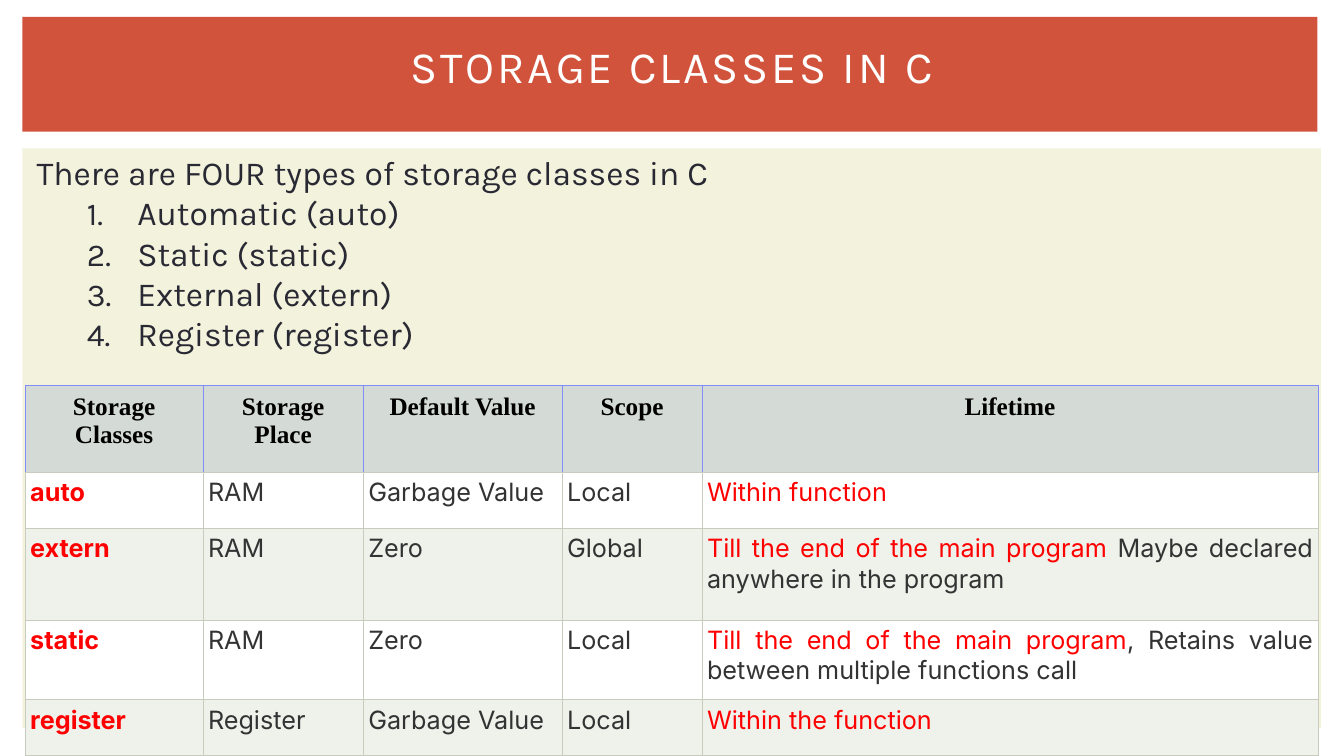
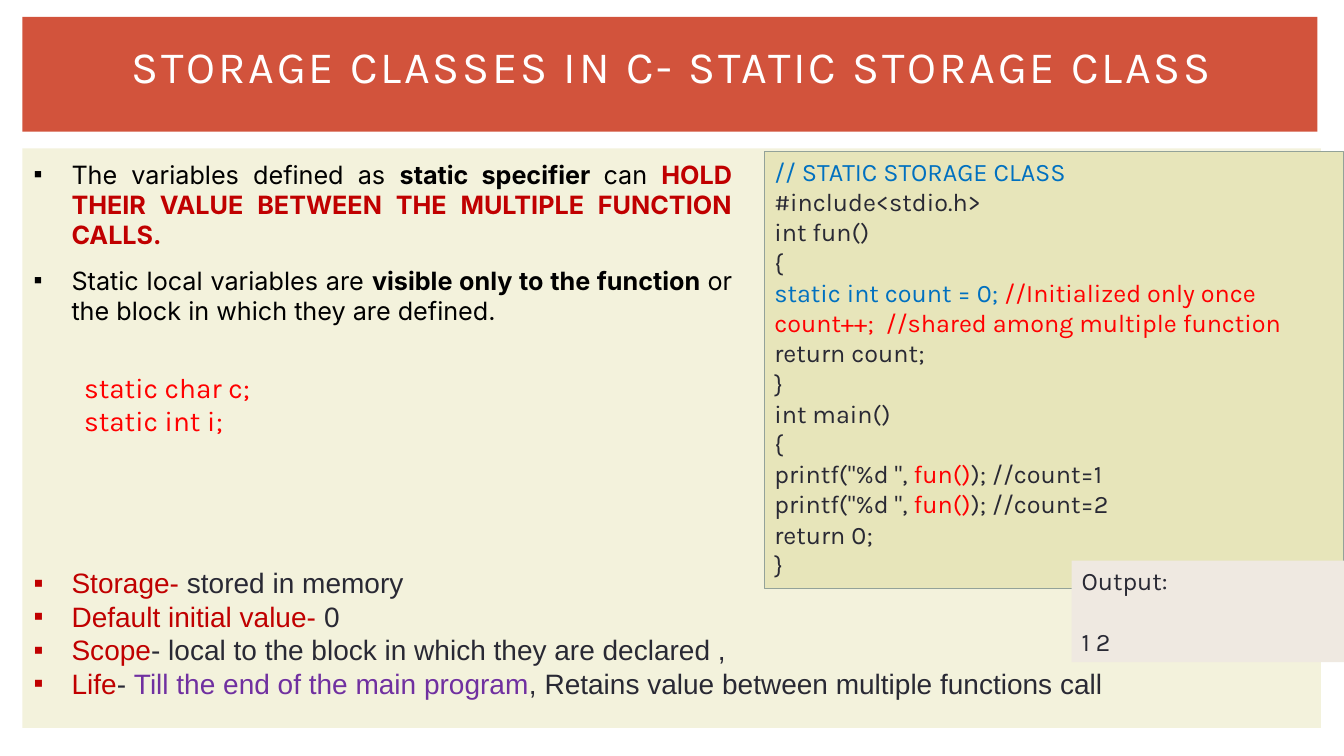
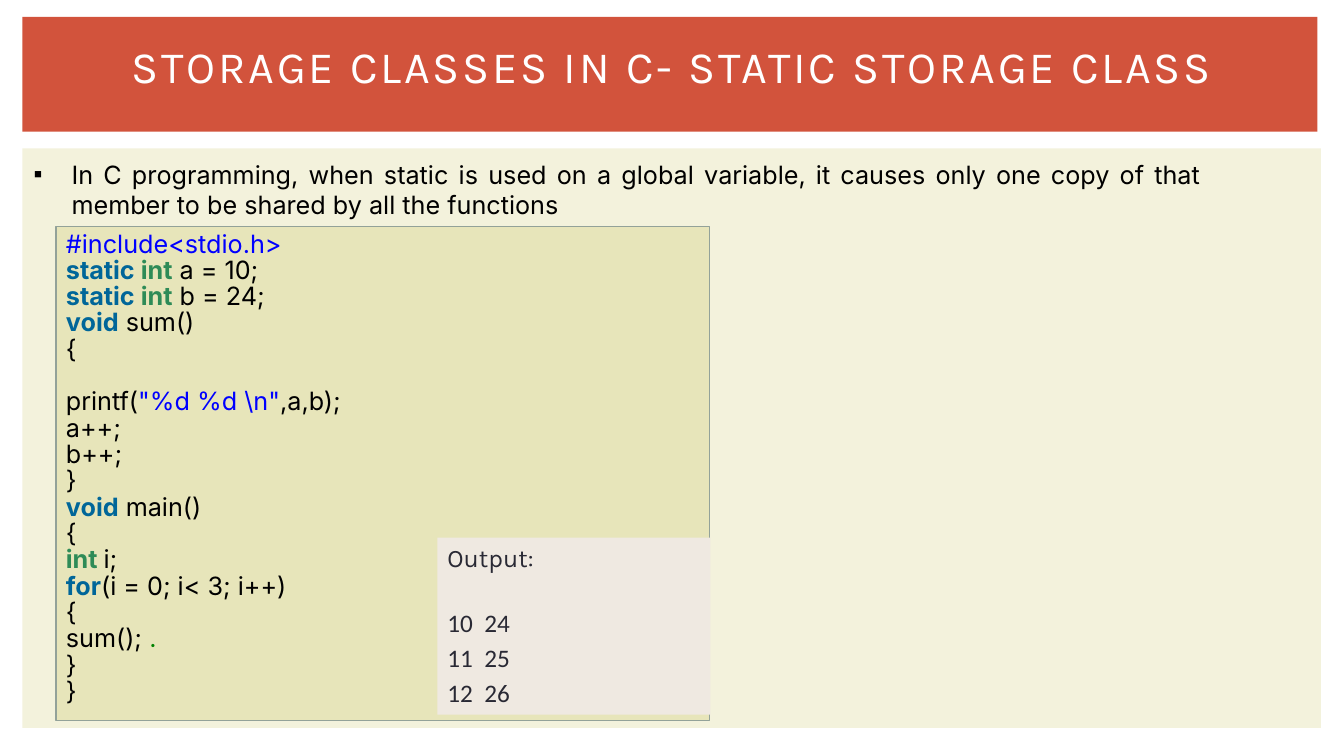
import dataclasses

import lxml.etree
import pptx
import pptx.dml.color
import pptx.enum.shapes
import pptx.enum.text
import pptx.oxml.ns
import pptx.util

Pt = pptx.util.Pt
qn = pptx.oxml.ns.qn
LEFT = pptx.enum.text.PP_ALIGN.LEFT
CENTER = pptx.enum.text.PP_ALIGN.CENTER
JUSTIFY = pptx.enum.text.PP_ALIGN.JUSTIFY
TOP = pptx.enum.text.MSO_ANCHOR.TOP
MIDDLE = pptx.enum.text.MSO_ANCHOR.MIDDLE


class Theme:
    PANEL = "F3F2DC"
    BAND = "D2533C"
    WHITE = "FFFFFF"
    BLACK = "000000"
    INK = "292934"
    GREY = "333333"
    RED = "FF0000"
    DARK_RED = "C00000"
    PURPLE = "7030A0"
    BLUE = "0070C0"
    LITERAL = "0000FF"
    KEYWORD = "006699"
    DATATYPE = "2E8B57"
    COMMENT = "008200"
    CODE_FILL = "E7E5BA"
    CODE_LINE = "93A299"
    OUTPUT_FILL = "EFE9E1"
    HEADER_FILL = "D4DAD6"
    STRIPE = "EFF1EB"
    HEADER_RULE = "808DFB"
    RULE = "C7CCBE"
    HEADING = "Karla"
    BODY = "Inter"
    TITLE_SIZE = 32
    LIST_SIZE = 24
    FACT_SIZE = 20
    TEXT_SIZE = 18


@dataclasses.dataclass
class Style:
    font: str = Theme.HEADING
    size: float = Theme.TEXT_SIZE
    color: str = Theme.INK
    bold: bool = False
    align: int = LEFT
    margin: float = 0
    hanging: float = 0
    bullet: str = ""
    numbered: bool = False
    before: float = 0
    after: float = 0
    line: object = None
    tracking: int = 0


TITLE = Style(size=Theme.TITLE_SIZE, color=Theme.WHITE, align=CENTER, tracking=200)
INTRO = Style(size=Theme.LIST_SIZE, margin=1)
NUMBERED = Style(size=Theme.LIST_SIZE, margin=73, hanging=36, numbered=True)
HEADER = Style(font="Times New Roman", color=Theme.BLACK, bold=True, align=CENTER)
CELL = Style(font=Theme.BODY, color=Theme.GREY, align=JUSTIFY)
POINT = Style(font=Theme.BODY, color=Theme.BLACK, align=JUSTIFY, margin=27,
              hanging=27, bullet="▪", before=3, after=8)
SAMPLE = Style(size=Theme.FACT_SIZE, color=Theme.RED, margin=36)
FACT = Style(font="Arial", size=Theme.FACT_SIZE, margin=27, hanging=27, bullet="▪")
CODE = Style()
TIGHT_CODE = Style(font=Theme.BODY, color=Theme.BLACK, line=Pt(18.8))
OUTPUT = Style()
OUTPUT_ROW = Style(font="Calibri", line=1.07, before=2)


def rgb(value):
    return pptx.dml.color.RGBColor.from_string(value)


def after_gap(style, gap):
    return dataclasses.replace(style, before=gap)


class Deck:
    def __init__(self):
        self.presentation = pptx.Presentation()
        self.presentation.slide_width = Pt(960)
        self.presentation.slide_height = Pt(540)
        self.slide = None

    def new_slide(self, title):
        self.slide = self.presentation.slides.add_slide(
            self.presentation.slide_layouts[6])
        self.box((16, 106, 927.5, 414), Theme.PANEL)
        self.box((16, 12, 925, 82), Theme.BAND)
        self.text((40, 15, 880, 63.5), [(TITLE, [title])], MIDDLE)

    def box(self, place, fill, line=None, paragraphs=()):
        box = self.slide.shapes.add_shape(
            pptx.enum.shapes.MSO_SHAPE.RECTANGLE, *map(Pt, place))
        box.shadow.inherit = False
        box.fill.solid()
        box.fill.fore_color.rgb = rgb(fill)
        if line:
            box.line.color.rgb = rgb(line)
            box.line.width = Pt(0.75)
        else:
            box.line.fill.background()
        if paragraphs:
            self.set_text(box.text_frame, paragraphs)

    def text(self, place, paragraphs, anchor=TOP):
        box = self.slide.shapes.add_textbox(*map(Pt, place))
        self.set_text(box.text_frame, paragraphs, anchor)

    def code(self, place, paragraphs):
        self.box(place, Theme.CODE_FILL, Theme.CODE_LINE, paragraphs)

    def output(self, place, rows):
        self.box(place, Theme.OUTPUT_FILL, None, [(OUTPUT, ["Output:"])] + rows)

    def set_text(self, frame, paragraphs, anchor=TOP):
        """Fill a frame from (style, runs); a run is text or (text, colour, bold)."""
        frame.word_wrap = True
        frame.vertical_anchor = anchor
        for index, (style, runs) in enumerate(paragraphs):
            paragraph = frame.add_paragraph() if index else frame.paragraphs[0]
            self.mark(paragraph, style)
            paragraph.alignment = style.align
            paragraph.space_before = Pt(style.before if index else 0)
            paragraph.space_after = Pt(style.after)
            if style.line:
                paragraph.line_spacing = style.line
            for part in runs:
                if isinstance(part, str):
                    part = (part, style.color, style.bold)
                run = paragraph.add_run()
                run.text, color, run.font.bold = part
                run.font.name = style.font
                run.font.size = Pt(style.size)
                run.font.color.rgb = rgb(color)
                if style.tracking:
                    run._r.get_or_add_rPr().set("spc", str(style.tracking))

    def mark(self, paragraph, style):
        """Set indents and the bullet or number."""
        properties = paragraph._p.get_or_add_pPr()
        properties.set("marL", str(Pt(style.margin)))
        properties.set("indent", str(-Pt(style.hanging)))
        if style.numbered:
            lxml.etree.SubElement(properties, qn("a:buSzPct"), val="95000")
            lxml.etree.SubElement(properties, qn("a:buFont"), typeface=style.font)
            lxml.etree.SubElement(properties, qn("a:buAutoNum"), type="arabicPeriod")
        elif style.bullet:
            lxml.etree.SubElement(properties, qn("a:buFont"), typeface="Arial")
            lxml.etree.SubElement(properties, qn("a:buChar"), char=style.bullet)

    def table(self, place, widths, heights, rows):
        table = self.slide.shapes.add_table(
            len(rows), len(widths), *map(Pt, place),
            Pt(sum(widths)), Pt(sum(heights))).table
        for column, width in zip(table.columns, widths):
            column.width = Pt(width)
        for index, (row, height) in enumerate(zip(rows, heights)):
            table.rows[index].height = Pt(height)
            header = index == 0
            fill = Theme.WHITE if index % 2 else Theme.STRIPE
            for cell, runs in zip(table.rows[index].cells, row):
                self.set_text(cell.text_frame, [(HEADER if header else CELL, runs)])
                inset = Pt(6 if header else 3.6)
                cell.margin_left = cell.margin_right = inset
                cell.margin_top = cell.margin_bottom = inset
                self.borders(cell, Theme.HEADER_RULE if header else Theme.RULE)
                cell.fill.solid()
                cell.fill.fore_color.rgb = rgb(Theme.HEADER_FILL if header else fill)

    def borders(self, cell, color):
        properties = cell._tc.get_or_add_tcPr()
        for side in "LRTB":
            line = lxml.etree.SubElement(
                properties, qn("a:ln" + side), w=str(Pt(0.75)))
            fill = lxml.etree.SubElement(line, qn("a:solidFill"))
            lxml.etree.SubElement(fill, qn("a:srgbClr"),
                                  val=Theme.RULE if side == "B" else color)


def red(text, bold=False):
    return text, Theme.RED, bold


def dark_red(text, bold=False):
    return text, Theme.DARK_RED, bold


def strong(text):
    return text, Theme.BLACK, True


def keyword(text):
    return text, Theme.KEYWORD, True


def datatype(text):
    return text, Theme.DATATYPE, True


def literal(text):
    return text, Theme.LITERAL, False


def blue(text):
    return text, Theme.BLUE, False


def overview(deck):
    deck.new_slide("STORAGE CLASSES IN C")
    classes = ["Automatic (auto)", "Static (static)",
               "External (extern)", "Register (register)"]
    deck.text((18, 105, 924, 153),
              [(INTRO, ["There are FOUR types of storage classes in C"])]
              + [(NUMBERED, [name]) for name in classes])
    headings = ["Storage Classes", "Storage Place", "Default Value",
                "Scope", "Lifetime"]
    storage = [
        ("auto", "RAM", "Garbage Value", "Local", [red("Within function")]),
        ("extern", "RAM", "Zero", "Global",
         [red("Till the end of the main program "),
          "Maybe declared anywhere in the program"]),
        ("static", "RAM", "Zero", "Local",
         [red("Till the end of the main program"),
          ", Retains value between multiple functions call"]),
        ("register", "Register", "Garbage Value", "Local",
         [red("Within the function")]),
    ]
    rows = [[[heading] for heading in headings]]
    for name, place, default, scope, lifetime in storage:
        rows.append([[red(name, True)], [place], [default], [scope], lifetime])
    deck.table((18, 275), [127, 114.5, 142, 100, 440],
               [62.5, 40, 65.5, 57, 40], rows)


def static_local(deck):
    deck.new_slide("STORAGE CLASSES IN C- STATIC STORAGE CLASS")
    deck.text((17, 110, 513, 208), [
        (POINT, ["The variables defined as ", strong("static specifier "), "can ",
                 dark_red("HOLD THEIR VALUE BETWEEN THE MULTIPLE FUNCTION CALLS.",
                          True)]),
        (POINT, ["Static local variables are ",
                 strong("visible only to the function "),
                 "or the block in which they are defined."]),
        (after_gap(SAMPLE, 24), ["static char c;"]),
        (SAMPLE, ["static int i;"]),
    ])
    program = [
        [blue("// STATIC STORAGE CLASS")],
        ["#include<stdio.h>"],
        ["int fun()"],
        ["{"],
        [blue("static int count = 0; "), red("//Initialized only once")],
        [red("count++;  //shared among multiple function")],
        ["return count;"],
        ["}"],
        ["int main()"],
        ["{"],
        ['printf("%d ", ', red("fun()"), "); //count=1"],
        ['printf("%d ", ', red("fun()"), "); //count=2"],
        ["return 0;"],
        ["}"],
    ]
    deck.code((546, 108, 414, 312.5), [(CODE, line) for line in program])
    deck.output((765.5, 400.5, 194.5, 72.5), [(after_gap(OUTPUT, 21.6), ["1 2"])])
    facts = [
        [dark_red("Storage- "), "stored in memory"],
        [dark_red("Default initial value- "), "0"],
        [dark_red("Scope"), "- local to the block in which they are declared ,"],
        [dark_red("Life"), "- ",
         ("Till the end of the main program", Theme.PURPLE, False),
         ", Retains value between multiple functions call"],
    ]
    deck.text((17, 400.5, 902, 104), [(FACT, fact) for fact in facts])


def static_global(deck):
    deck.new_slide("STORAGE CLASSES IN C- STATIC STORAGE CLASS")
    deck.text((17, 110, 848, 51), [
        (POINT, ["In C programming, when static is used on a global variable, "
                 "it causes only one copy of that member to be shared by all "
                 "the functions"])])
    declarations = [
        [literal("#include<stdio.h>")],
        [keyword("static "), datatype("int"), " a = 10;"],
        [keyword("static "), datatype("int"), " b = 24;"],
        [keyword("void"), " sum()"],
        ["{"],
    ]
    body = [
        ["printf(", literal('"%d %d \\n"'), ",a,b);"],
        ["a++;"],
        ["b++;"],
        ["}"],
        [keyword("void"), " main()"],
        ["{"],
        [datatype("int "), "i;"],
        [keyword("for"), "(i = 0; i< 3; i++)"],
        ["{"],
        ["sum(); ", (".", Theme.COMMENT, False)],
        ["}"],
        ["}"],
    ]
    program = [(TIGHT_CODE, line) for line in declarations + body]
    program[len(declarations)] = (after_gap(TIGHT_CODE, 18.8), body[0])
    deck.code((40, 162, 466.5, 353), program)
    deck.output((312.5, 384, 195, 126.5), [
        (after_gap(OUTPUT_ROW, 23), ["10  24"]),
        (OUTPUT_ROW, ["11  25"]),
        (OUTPUT_ROW, ["12  26"]),
    ])


def main():
    deck = Deck()
    overview(deck)
    static_local(deck)
    static_global(deck)
    deck.presentation.save("out.pptx")


if __name__ == "__main__":
    main()
